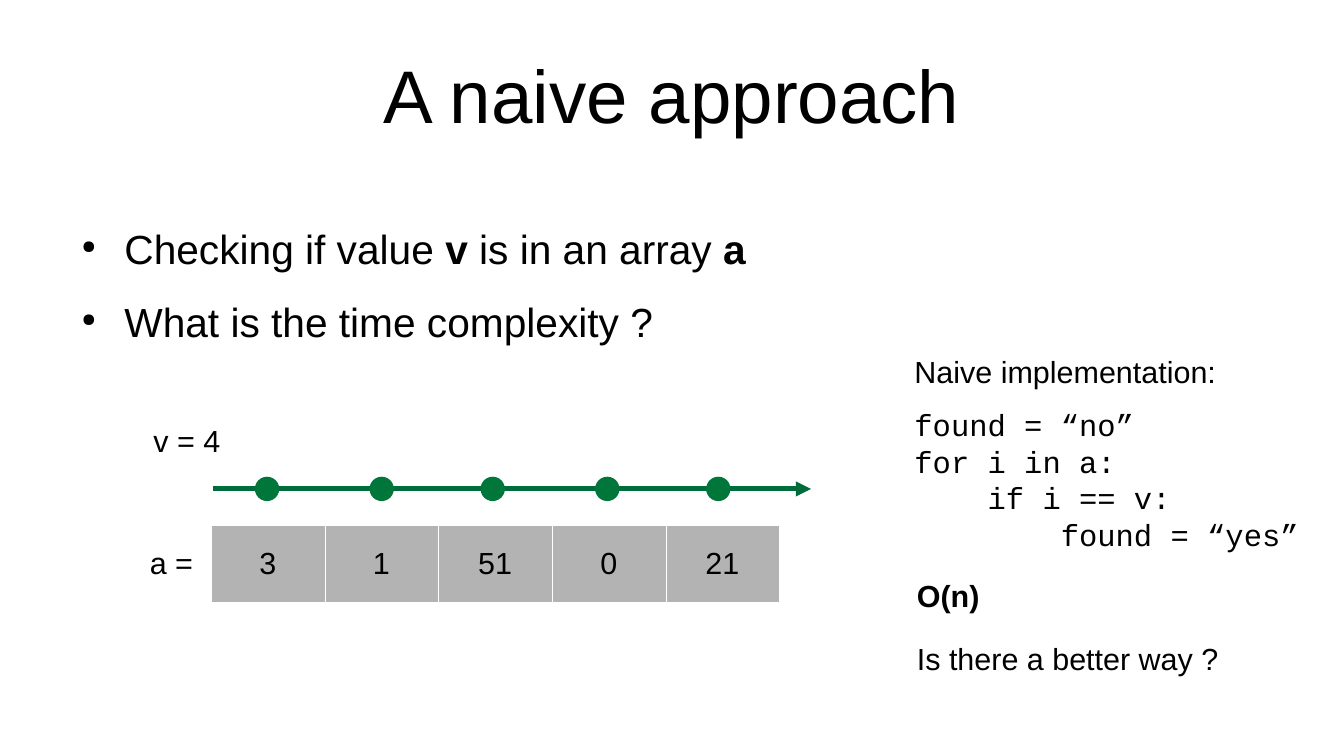
"""Build the slide about a naive array search."""
import pptx
import pptx.dml.color
import pptx.enum.shapes
import pptx.enum.text
import pptx.oxml
import pptx.oxml.ns
import pptx.util
from lxml import etree

Inches = pptx.util.Inches
Pt = pptx.util.Pt
ALIGN = pptx.enum.text.PP_ALIGN
ANCHOR = pptx.enum.text.MSO_ANCHOR
COLORS = {"text": "000000", "cell": "B3B3B3", "border": "FFFFFF",
          "arrow": "006C3B", "dot": "00763B"}


def add_xml(parent, tag, **attrs):
    return etree.SubElement(parent, pptx.oxml.ns.qn(tag), **attrs)


class SlideBuilder:
    def __init__(self, slide, font="Arial", size=18):
        self.s = slide
        self.font = font
        self.size = size

    def color(self, name):
        return pptx.dml.color.RGBColor.from_string(COLORS[name])

    def run(self, p, text, size=None, bold=False, font=None):
        r = p.add_run()
        r.text = text
        r.font.name = font or self.font
        r.font.size = Pt(size or self.size)
        r.font.bold = bold
        r.font.color.rgb = self.color("text")

    def box(self, x, y, w, h, inset=True):
        tf = self.s.shapes.add_textbox(Inches(x), Inches(y), Inches(w), Inches(h)).text_frame
        tf.word_wrap = True
        if not inset:
            tf.margin_left = tf.margin_right = tf.margin_top = tf.margin_bottom = 0
        return tf

    def text(self, x, y, w, h, lines, **style):
        tf = self.box(x, y, w, h)
        for i, line in enumerate(lines):
            p = tf.add_paragraph() if i else tf.paragraphs[0]
            self.run(p, line, **style)

    def title(self, x, y, w, h, text):
        tf = self.box(x, y, w, h, inset=False)
        tf.vertical_anchor = ANCHOR.MIDDLE
        p = tf.paragraphs[0]
        p.alignment = ALIGN.CENTER
        self.run(p, text, size=44)

    def bullets(self, x, y, w, h, items):
        tf = self.box(x, y, w, h, inset=False)
        for i, runs in enumerate(items):
            p = tf.add_paragraph() if i else tf.paragraphs[0]
            if i:
                p.space_before = Pt(14.2)
            pPr = p._p.get_or_add_pPr()
            pPr.set("marL", str(Inches(0.47)))
            pPr.set("indent", str(Inches(-0.35)))
            add_xml(add_xml(pPr, "a:buClr"), "a:srgbClr", val=COLORS["text"])
            add_xml(pPr, "a:buSzPct", val="45000")
            add_xml(pPr, "a:buChar", char="●")
            for text, bold in runs:
                self.run(p, text, size=24, bold=bold)

    def array(self, x, y, w, h, values):
        frame = self.s.shapes.add_table(1, len(values), Inches(x), Inches(y), Inches(w), Inches(h))
        for cell, value in zip(frame.table.rows[0].cells, values):
            cell.vertical_anchor = ANCHOR.MIDDLE
            tcPr = cell._tc.get_or_add_tcPr()
            for side in ("a:lnL", "a:lnR", "a:lnT", "a:lnB"):
                fill = add_xml(add_xml(tcPr, side, w=str(Pt(0.06))), "a:solidFill")
                add_xml(fill, "a:srgbClr", val=COLORS["border"])
            cell.fill.solid()
            cell.fill.fore_color.rgb = self.color("cell")
            p = cell.text_frame.paragraphs[0]
            p.alignment = ALIGN.CENTER
            self.run(p, str(value))

    def arrow(self, x1, y1, x2, y2):
        sp = self.s.shapes.add_connector(pptx.enum.shapes.MSO_CONNECTOR.STRAIGHT,
                                         Inches(x1), Inches(y1), Inches(x2), Inches(y2))
        sp.line.color.rgb = self.color("arrow")
        sp.line.width = Pt(3)
        add_xml(sp.line._get_or_add_ln(), "a:tailEnd", type="triangle")
        add_xml(sp._element.spPr, "a:effectLst")

    def dot(self, x, y, d):
        sp = self.s.shapes.add_shape(pptx.enum.shapes.MSO_SHAPE.OVAL,
                                     Inches(x), Inches(y), Inches(d), Inches(d))
        sp.shadow.inherit = False
        sp.fill.solid()
        sp.fill.fore_color.rgb = self.color("dot")
        sp.line.fill.background()


def main():
    prs = pptx.Presentation()
    prs.slide_width, prs.slide_height = Inches(11.02), Inches(6.2)
    b = SlideBuilder(prs.slides.add_slide(prs.slide_layouts[6]))

    b.title(0.55, 0.25, 9.92, 1.04, "A naive approach")
    b.bullets(0.55, 1.84, 9.92, 3.6, [
        [("Checking if value ", False), ("v", True), (" is in an array ", False), ("a", True)],
        [("What is the time complexity ?", False)],
    ])

    b.array(1.73, 4.31, 4.66, 0.63, [3, 1, 51, 0, 21])
    b.text(1.13, 4.41, 0.8, 0.4, ["a ="])
    b.text(1.16, 3.41, 0.8, 0.4, ["v = 4"])
    b.arrow(1.75, 4.01, 6.65, 4.01)
    for x in (2.09, 3.03, 3.94, 4.88, 5.79):
        b.dot(x, 3.91, 0.2)

    b.text(7.4, 2.85, 2.7, 0.66, ["Naive implementation:"])
    b.text(7.4, 3.28, 3.4, 1.55, [
        "found = “no”",
        "for i in a:",
        "    if i == v:",
        "        found = “yes”",
    ], font="Courier New")
    b.text(7.42, 4.68, 0.8, 0.5, ["O(n)"], bold=True)
    b.text(7.42, 5.2, 2.7, 0.66, ["Is there a better way ?"])
    prs.save("out.pptx")


if __name__ == "__main__":
    main()
